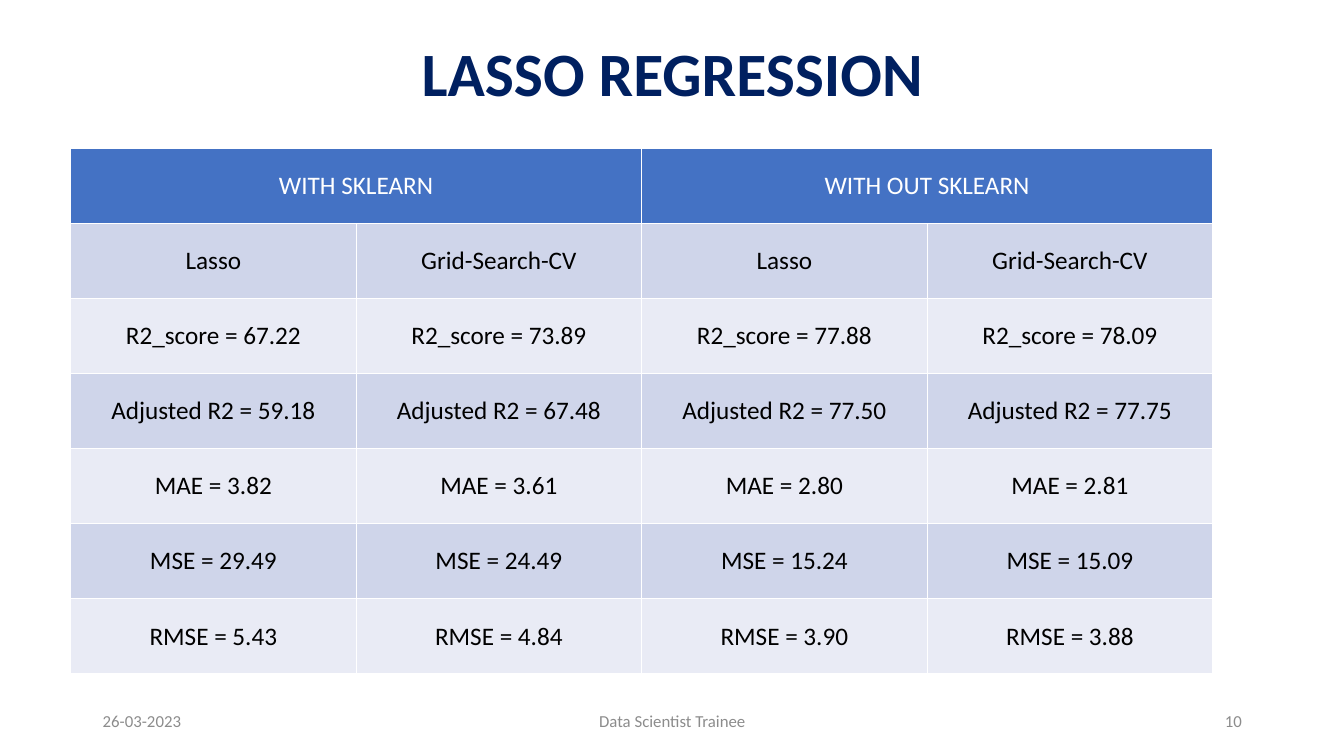
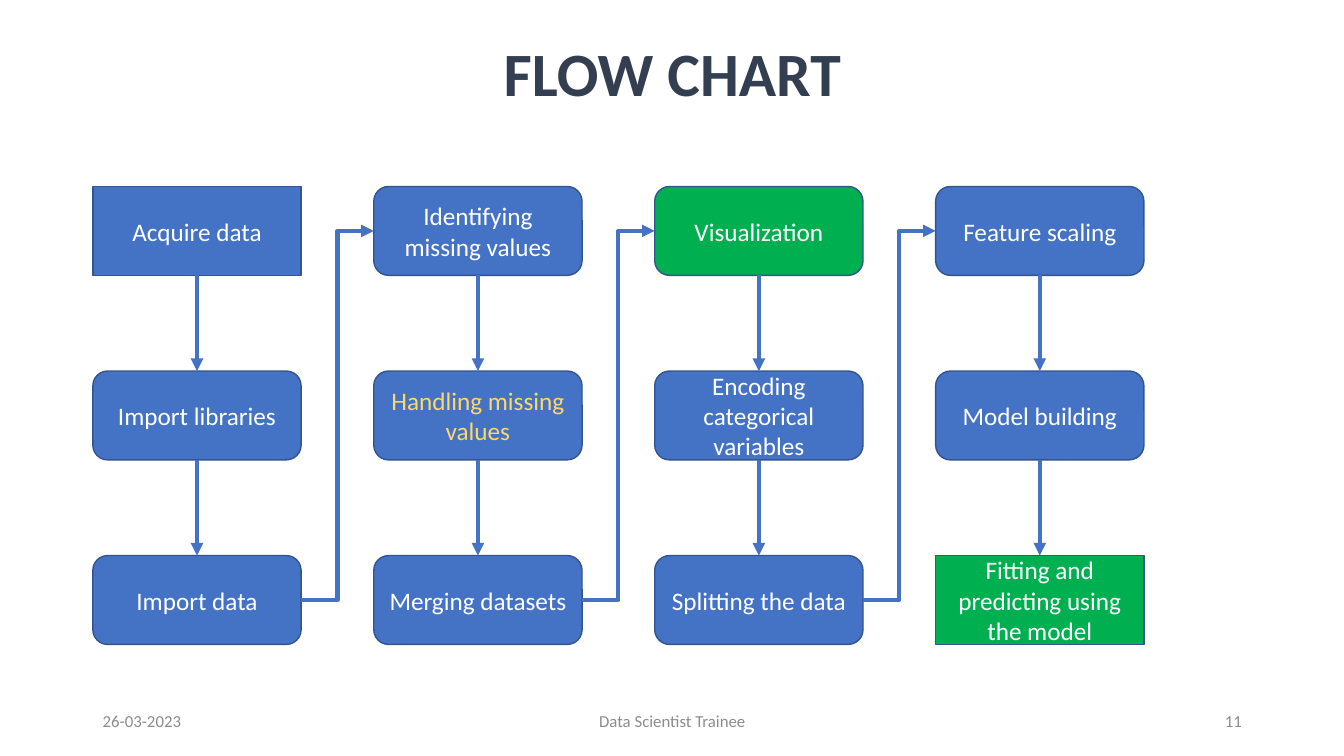
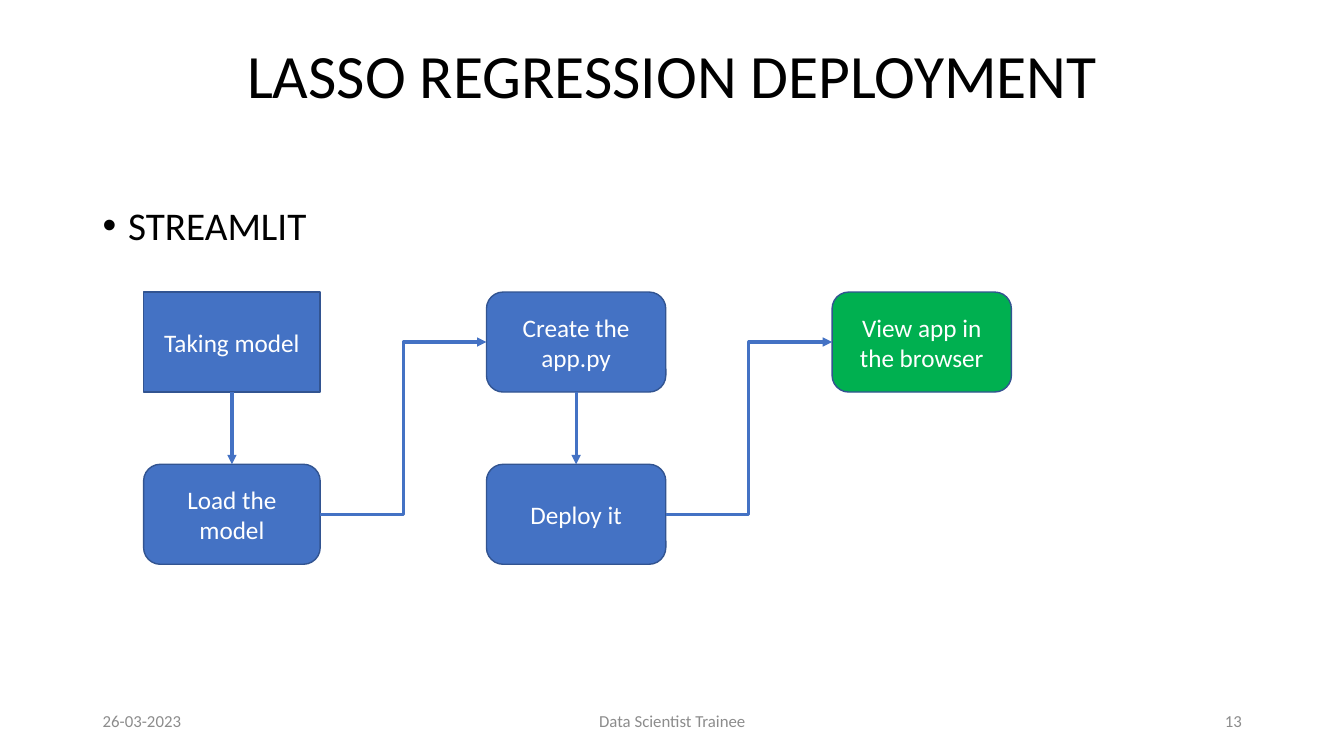
import pptx
import pptx.dml.color
import pptx.enum.shapes
import pptx.enum.text
import pptx.util
from lxml import etree
from pptx.oxml.ns import qn

Cm, Pt = pptx.util.Cm, pptx.util.Pt
SHAPE = pptx.enum.shapes.MSO_SHAPE
CONNECTOR = pptx.enum.shapes.MSO_CONNECTOR
ALIGN = pptx.enum.text.PP_ALIGN
ANCHOR = pptx.enum.text.MSO_ANCHOR

COLORS = {
    "blue": "4472C4", "outline": "325491", "green": "00B050",
    "yellow": "FFD966", "navy": "002060", "slate": "333F50",
    "gray": "8C8C8C", "band dark": "CFD5EA", "band light": "E9EBF5",
    "white": "FFFFFF", "black": "000000",
}
FONT = "Calibri"
TITLE_BOX = (2.34, 0.97, 29.21, 3.68)
TOP, LEFT, BOTTOM, RIGHT = range(4)  # connection sites of a box


def rgb(name):
    return pptx.dml.color.RGBColor.from_string(COLORS[name])


def place(shape, box):
    shape.left, shape.top, shape.width, shape.height = map(Cm, box)


def write(tf, text, size, color, align=ALIGN.CENTER, bold=False):
    p = tf.paragraphs[0]
    p.alignment = align
    r = p.add_run()
    r.text = text
    r.font.name, r.font.size, r.font.bold = FONT, Pt(size), bold
    r.font.color.rgb = rgb(color)
    return p


def add_text(s, box, text, size, color, align, anchor):
    tf = s.shapes.add_textbox(*map(Cm, box)).text_frame
    tf.word_wrap = True
    tf.vertical_anchor = anchor
    return write(tf, text, size, color, align)


def add_footer(s, number):
    for left, width, text, align in (
        (2.34, 7.62, "26-03-2023", ALIGN.LEFT),
        (11.23, 11.43, "Data Scientist Trainee", ALIGN.CENTER),
        (23.93, 7.62, str(number), ALIGN.RIGHT),
    ):
        add_text(s, (left, 17.65, width, 1.02), text, 12, "gray", align,
                 ANCHOR.MIDDLE)


def add_slide(prs, title, number, color, bold=True):
    """Add a slide with its title and footer."""
    s = prs.slides.add_slide(prs.slide_layouts[5])
    place(s.shapes.title, TITLE_BOX)
    tf = s.shapes.title.text_frame
    tf.word_wrap = True
    tf.auto_size = pptx.enum.text.MSO_AUTO_SIZE.NONE
    tf.vertical_anchor = ANCHOR.TOP
    write(tf, title, 44, color, bold=bold).line_spacing = 0.9
    add_footer(s, number)
    return s


def add_scores(s, box, headers, rows):
    """Add a table whose headers each span an equal share of the columns."""
    n_rows, n_cols = len(rows) + 1, len(rows[0])
    table = s.shapes.add_table(n_rows, n_cols, *map(Cm, box)).table
    for col in table.columns:
        col.width = Cm(box[2] / n_cols)
    for row in table.rows:
        row.height = Cm(box[3] / n_rows)

    def fill_cell(cell, text, color, fill):
        cell.vertical_anchor = ANCHOR.MIDDLE
        cell.fill.solid()
        cell.fill.fore_color.rgb = rgb(fill)
        write(cell.text_frame, text, 18, color)

    span = n_cols // len(headers)
    for i, text in enumerate(headers):
        cell = table.cell(0, i * span)
        cell.merge(table.cell(0, (i + 1) * span - 1))
        fill_cell(cell, text, "white", "blue")
    for i, row in enumerate(rows, 1):
        band = "band dark" if i % 2 else "band light"
        for j, text in enumerate(row):
            fill_cell(table.cell(i, j), text, "black", band)


def add_step(s, box, kind, text, fill="blue", color="white"):
    shape = s.shapes.add_shape(kind, *map(Cm, box))
    shape.shadow.inherit = False
    shape.fill.solid()
    shape.fill.fore_color.rgb = rgb(fill)
    shape.line.color.rgb = rgb("outline")
    shape.line.width = Pt(1)
    tf = shape.text_frame
    tf.word_wrap = True
    tf.vertical_anchor = ANCHOR.MIDDLE
    write(tf, text, 18, color)
    return shape


def add_arrow(s, kind, start, start_site, end, end_site, weight):
    line = s.shapes.add_connector(kind, 0, 0, 0, 0)
    line.begin_connect(start, start_site)
    line.end_connect(end, end_site)
    line.line.color.rgb = rgb("blue")
    line.line.width = Pt(weight)
    ln = line.line._get_or_add_ln()
    etree.SubElement(ln, qn("a:tailEnd"), type="triangle")
    etree.SubElement(ln.getparent(), qn("a:effectLst"))


def add_flow(s, box, columns, widths, height, weight):
    """Spread columns of steps over the box and join them in reading order."""
    left, top, total_width, total_height = box
    gap = (total_width - sum(widths)) / (len(columns) - 1)
    pitch = (total_height - height) / (max(map(len, columns)) - 1)
    last = None
    for column, width in zip(columns, widths):
        for i, step in enumerate(column):
            shape = add_step(s, (left, top + i * pitch, width, height), *step)
            if i:
                add_arrow(s, CONNECTOR.STRAIGHT, last, BOTTOM, shape, TOP,
                          weight)
            elif last is not None:
                add_arrow(s, CONNECTOR.ELBOW, last, RIGHT, shape, LEFT, weight)
            last = shape
        left += width + gap


def add_bullet(s, box, text):
    p = add_text(s, box, text, 28, "black", ALIGN.LEFT, ANCHOR.TOP)
    p.line_spacing = 0.9
    p.space_before = Pt(10)
    pPr = p._p.get_or_add_pPr()
    pPr.set("marL", str(Cm(0.64)))
    pPr.set("indent", str(-Cm(0.64)))
    etree.SubElement(pPr, qn("a:buFont"), typeface="Arial")
    etree.SubElement(pPr, qn("a:buChar"), char="•")


def score_slide(prs):
    s = add_slide(prs, "LASSO REGRESSION", 10, "navy")
    scores = (
        ("R2_score", "67.22", "73.89", "77.88", "78.09"),
        ("Adjusted R2", "59.18", "67.48", "77.50", "77.75"),
        ("MAE", "3.82", "3.61", "2.80", "2.81"),
        ("MSE", "29.49", "24.49", "15.24", "15.09"),
        ("RMSE", "5.43", "4.84", "3.90", "3.88"),
    )
    rows = [("Lasso", "Grid-Search-CV") * 2]
    rows += [[f"{name} = {v}" for v in values] for name, *values in scores]
    add_scores(s, (1.78, 3.75, 28.78, 13.23),
               ("WITH SKLEARN", "WITH OUT SKLEARN"), rows)


def flow_chart_slide(prs):
    s = add_slide(prs, "FLOW CHART", 11, "slate")
    end, step = SHAPE.FLOWCHART_PROCESS, SHAPE.FLOWCHART_ALTERNATE_PROCESS
    columns = (
        ((end, "Acquire data"), (step, "Import libraries"),
         (step, "Import data")),
        ((step, "Identifying missing values"),
         (step, "Handling missing values", "blue", "yellow"),
         (step, "Merging datasets")),
        ((step, "Visualization", "green"),
         (step, "Encoding categorical variables"),
         (step, "Splitting the data")),
        ((step, "Feature scaling"), (step, "Model building"),
         (end, "Fitting and predicting using the model", "green")),
    )
    add_flow(s, (2.34, 4.7, 26.49, 11.54), columns, [5.25] * 4, 2.24, 3)


def deployment_slide(prs):
    s = add_slide(prs, "LASSO REGRESSION DEPLOYMENT", 13, "black", bold=False)
    s.shapes.title.top = Cm(1.02)
    add_bullet(s, (2.34, 5.08, 29.21, 12.09), "STREAMLIT")
    start, step = SHAPE.FLOWCHART_PROCESS, SHAPE.ROUNDED_RECTANGLE
    columns = (
        ((start, "Taking model"), (step, "Load the model")),
        ((step, "Create the app.py"), (step, "Deploy it")),
        ((step, "View app in the browser", "green"),),
    )
    add_flow(s, (3.62, 7.36, 21.87, 6.86), columns, (4.45, 4.52, 4.52), 2.52,
             2.25)


def main():
    prs = pptx.Presentation()
    prs.slide_width, prs.slide_height = Cm(33.87), Cm(19.05)
    score_slide(prs)
    flow_chart_slide(prs)
    deployment_slide(prs)
    prs.save("out.pptx")


if __name__ == "__main__":
    main()
